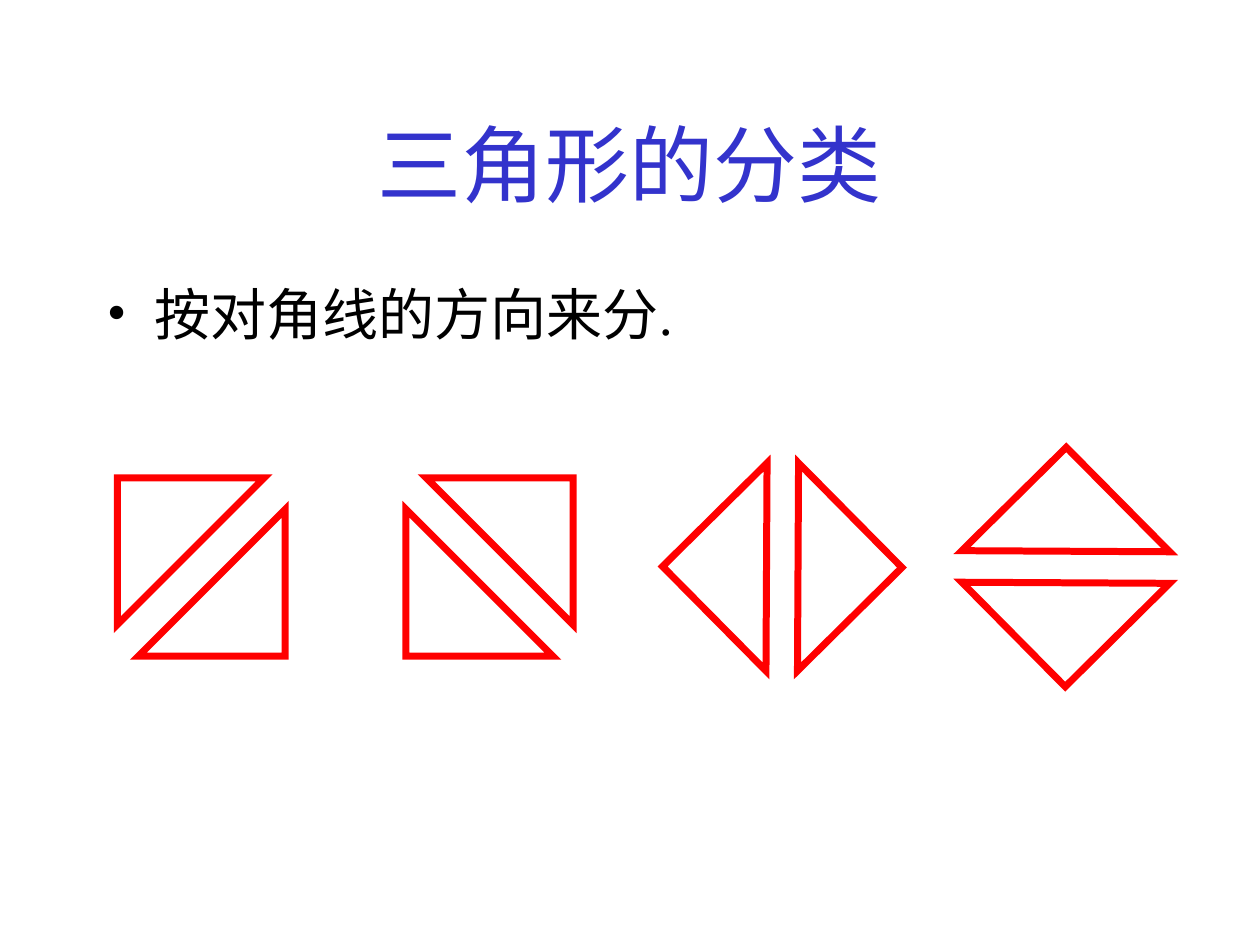
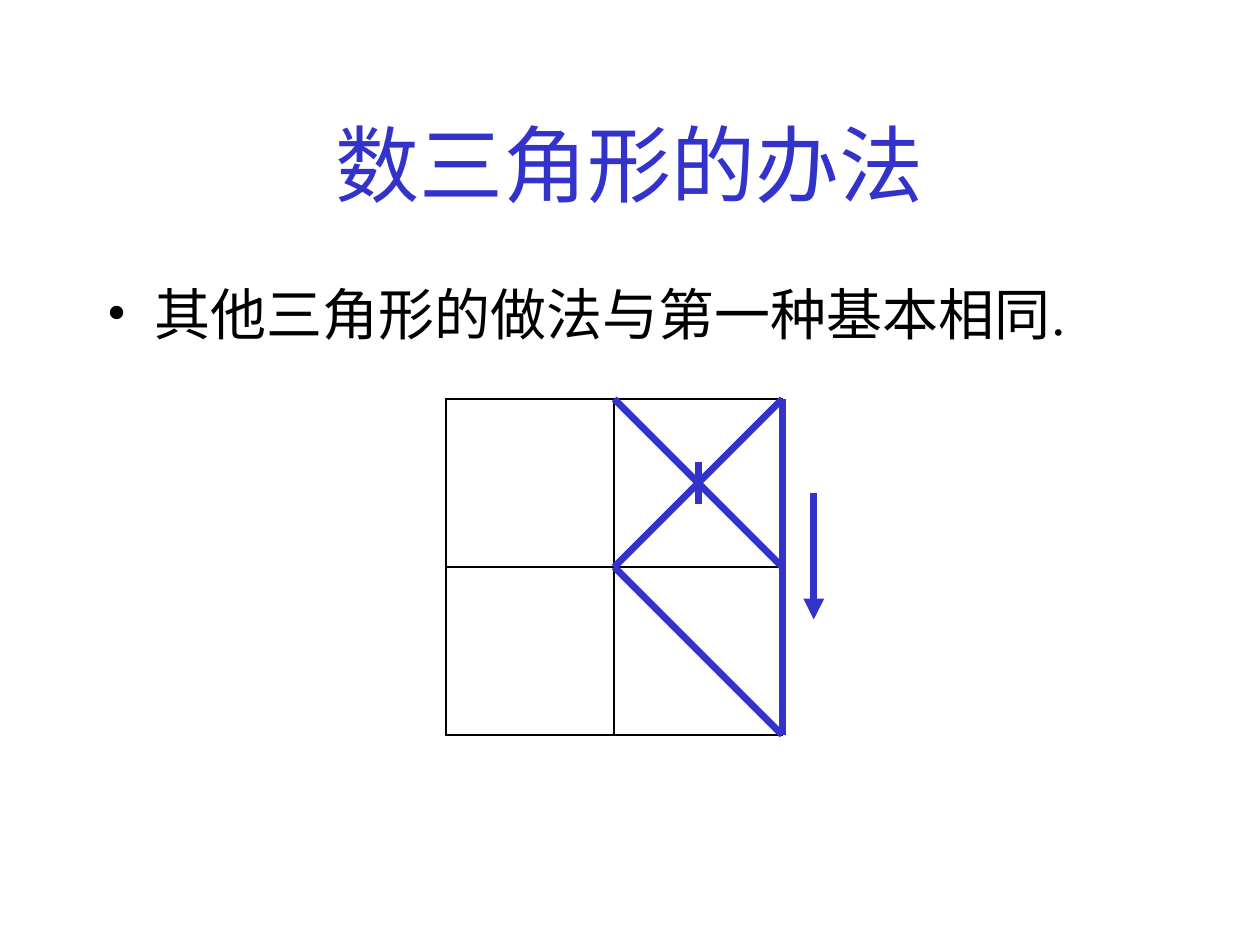
from pptx import Presentation
from pptx.dml.color import RGBColor
from pptx.enum.shapes import MSO_CONNECTOR as Link, MSO_SHAPE as Shape
from pptx.enum.text import MSO_ANCHOR as Anchor, PP_ALIGN as Align
from pptx.oxml.ns import qn
from pptx.util import Pt
from lxml.etree import SubElement as Sub

BLACK = RGBColor(0x00, 0x00, 0x00)
WHITE = RGBColor(0xFF, 0xFF, 0xFF)
RED = RGBColor(0xFF, 0x00, 0x00)
BLUE = RGBColor(0x33, 0x33, 0xCC)
FONT = "Times New Roman"
THICK = 4


def write(frame, text, size=32, color=BLACK, align=Align.LEFT,
          anchor=Anchor.TOP, before=0, bullet=None, hang=27):
    """Put one paragraph of text, with its format, into a text frame."""
    frame.word_wrap = True
    frame.vertical_anchor = anchor
    para = frame.paragraphs[0]
    para.alignment = align
    para.space_before = Pt(before)
    run = para.add_run()
    run.text = text
    run.font.name, run.font.size = FONT, Pt(size)
    run.font.color.rgb = color
    if bullet:
        props = para._p.get_or_add_pPr()
        props.set("marL", str(Pt(hang)))
        props.set("indent", str(-Pt(hang)))
        Sub(Sub(props, qn("a:buClr")), qn("a:srgbClr"), val=str(color))
        Sub(props, qn("a:buFont"), typeface=FONT)
        Sub(props, qn("a:buChar"), char=bullet)


class Deck:
    """Holds the shared style and the current slide."""

    def __init__(self):
        self.show = Presentation()
        self.show.slide_width, self.show.slide_height = Pt(720), Pt(540)

    def page(self, title, point):
        layout = self.show.slide_layouts[6]
        self.items = self.show.slides.add_slide(layout).shapes
        self.text(title, 48, 90, size=48, color=BLUE,
                  align=Align.CENTER, anchor=Anchor.MIDDLE)
        self.text(point, 156, 324, before=8, bullet="•")

    def text(self, text, top, height, **style):
        box = self.items.add_textbox(Pt(54), Pt(top), Pt(612), Pt(height))
        write(box.text_frame, text, **style)

    def shape(self, kind, left, top, size, color, width, fill=None, turn=0):
        item = self.items.add_shape(kind, Pt(left), Pt(top), Pt(size), Pt(size))
        item.shadow.inherit = False
        item.rotation = turn
        if fill is None:
            item.fill.background()
        else:
            item.fill.solid()
            item.fill.fore_color.rgb = fill
        self.stroke(item, color, width)
        return item

    def line(self, start, end, color=BLUE, width=THICK, box=None,
             sides=None, arrow=False):
        item = self.items.add_connector(
            Link.STRAIGHT, *(Pt(n) for n in (*start, *end)))
        Sub(item._element.spPr, qn("a:effectLst"))
        stroke = self.stroke(item, color, width)
        if box is not None:
            item.begin_connect(box, sides[0])
            item.end_connect(box, sides[1])
        if arrow:
            Sub(stroke, qn("a:tailEnd"), type="triangle")

    def stroke(self, item, color, width):
        item.line.color.rgb = color
        item.line.width = Pt(width)
        edge = item.line._get_or_add_ln()
        Sub(edge, qn("a:miter"), lim="800000")
        return edge


def sort_page(deck):
    deck.page("三角形的分类", "按对角线的方向来分.")
    # Four pairs of facing triangles: left, top, turn of each half
    pairs = [
        ((79, 291, 270), (67, 273, 90)),
        ((232, 291, 0), (243.5, 273, 180)),
        ((396, 282, 45.3), (414, 282, 225.3)),
        ((567, 291, 315.3), (567, 273, 135.3)),
    ]
    for pair in pairs:
        for left, top, turn in pair:
            deck.shape(Shape.RIGHT_TRIANGLE, left, top, 84, RED, THICK,
                       fill=WHITE, turn=turn)


def count_page(deck):
    deck.page("数三角形的办法", "其他三角形的做法与第一种基本相同.")
    # Square cut into four cells
    left, top, cell = 255, 228, 96
    mid, right = left + cell, left + 2 * cell
    half, base = top + cell, top + 2 * cell
    box = deck.shape(Shape.RECTANGLE, left, top, 2 * cell, BLACK, 1)
    deck.line((left, half), (right, half), BLACK, 1, box, (1, 3))
    deck.line((mid, top), (mid, base), BLACK, 1, box, (0, 2))
    # Large triangle and the crossing diagonal
    deck.line((right, top), (mid, half))
    deck.line((right, top), (right, base))
    deck.line((right, base), (mid, half))
    deck.line((right, half), (mid, top), box=box, sides=(3, 0))
    # Tick at the crossing, and the arrow down
    cross = mid + cell / 2
    deck.line((cross, 264), (cross, 288))
    deck.line((right + 18, 282), (right + 18, 354), arrow=True)


def main():
    deck = Deck()
    sort_page(deck)
    count_page(deck)
    deck.show.save("out.pptx")


if __name__ == "__main__":
    main()
